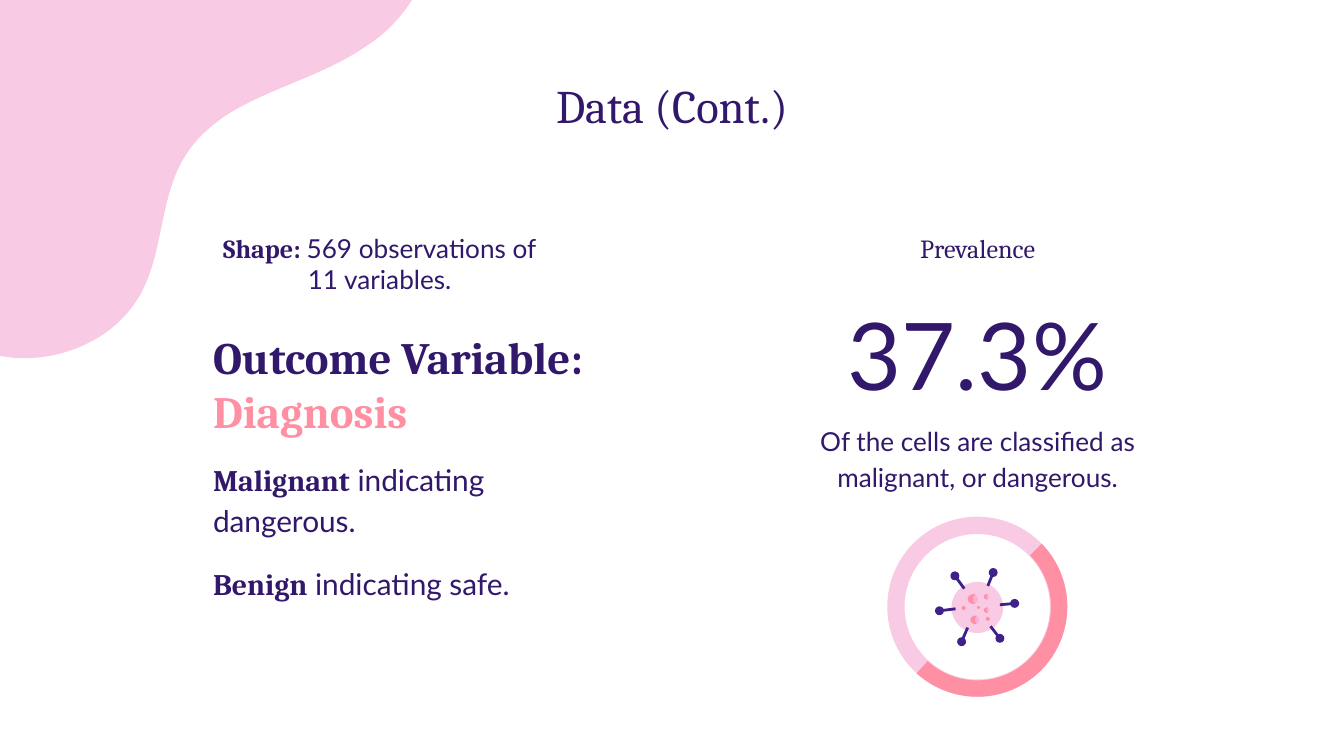
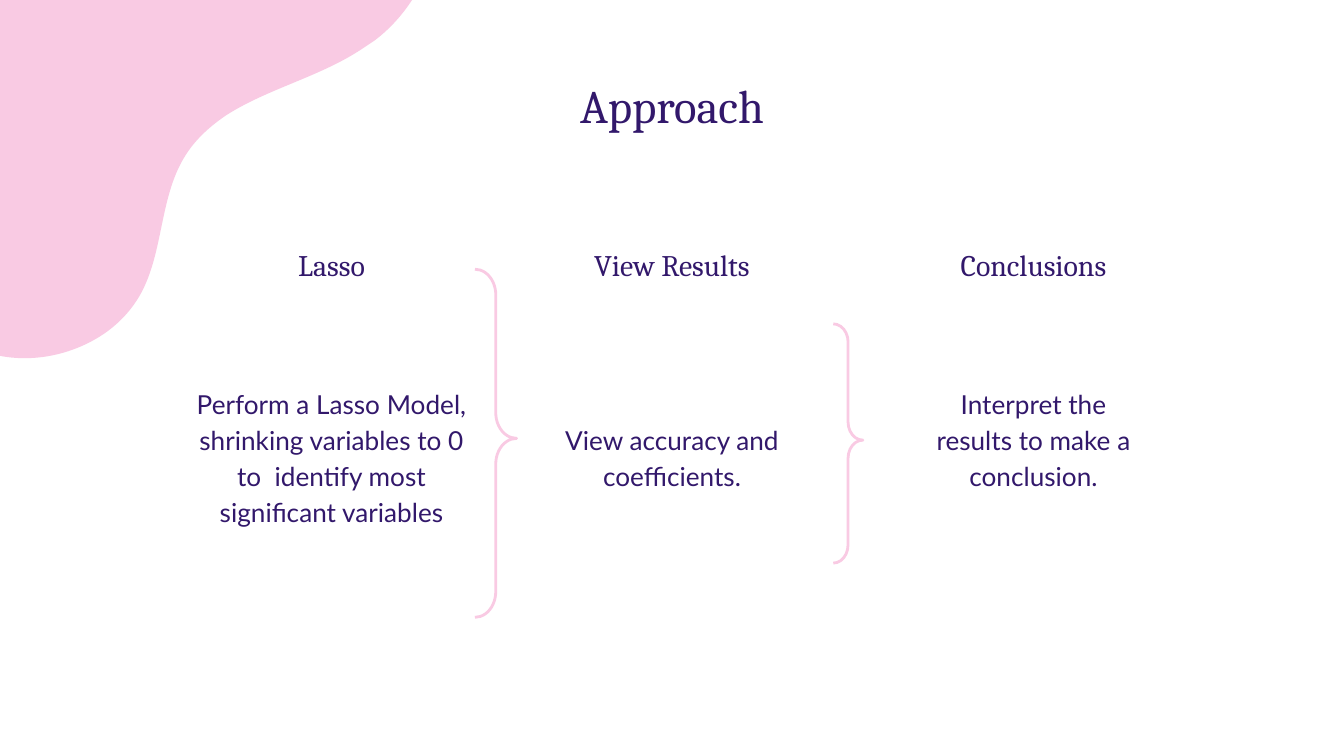
from dataclasses import dataclass

from lxml import etree
from pptx import Presentation
from pptx.dml.color import RGBColor
from pptx.enum.shapes import MSO_CONNECTOR as Link, MSO_SHAPE as Kind
from pptx.enum.text import MSO_ANCHOR as Anchor, MSO_AUTO_SIZE as Fit, PP_ALIGN as Align
from pptx.oxml.ns import qn
from pptx.util import Inches, Pt


@dataclass(frozen=True)
class Theme:
    ink: str = "32186B"
    pink: str = "F9CAE3"
    rose: str = "F9AFD7"
    coral: str = "FF8FA3"
    plum: str = "3E2289"
    serif: str = "Cambria"
    sans: str = "Lato"
    small: int = 14
    mid: int = 16
    large: int = 24
    title: int = 25
    huge: int = 50


T = Theme()
UNIT = Inches(0.1)  # the grid has 100 columns and 56.25 rows
PAD = Inches(0.1)


def write(slide, cells, *runs, box=None, size=T.small, font=T.sans, color=T.ink,
          bold=False, align=Align.CENTER, anchor=Anchor.TOP,
          line=None, before=None, after=None):
    """Add one paragraph; a run is a string or (string, own format)."""
    if box is None:
        box = slide.shapes.add_textbox(0, 0, 0, 0)
    if cells:
        box.left, box.top, box.width, box.height = [round(UNIT * n) for n in cells]
    frame = box.text_frame
    frame.word_wrap, frame.auto_size = True, Fit.NONE
    frame.vertical_anchor = anchor
    frame.margin_left = frame.margin_right = PAD
    frame.margin_top = frame.margin_bottom = PAD
    para = frame.add_paragraph() if frame.text else frame.paragraphs[0]
    para.alignment, para.line_spacing = align, line
    para.space_before, para.space_after = before, after
    for item in runs:
        text, own = (item, {}) if isinstance(item, str) else item
        run = para.add_run()
        run.text = text
        run.font.size = Pt(size)
        run.font.name = own.get("font", font)
        run.font.bold = own.get("bold", bold)
        run.font.color.rgb = RGBColor.from_string(own.get("color", color))
    return box


def draw(shapes, kind, cells, fill=None, line=None, adj=()):
    """Add a preset shape with a plain fill or a plain line."""
    shape = shapes.add_shape(kind, *[round(UNIT * n) for n in cells])
    shape.shadow.inherit = False
    for part, color in ((shape.fill, fill), (shape.line.fill, line)):
        if color:
            part.solid()
            part.fore_color.rgb = RGBColor.from_string(color)
        else:
            part.background()
    if line:
        shape.line.width = Pt(1.5)
    for i, value in enumerate(adj):
        shape.adjustments[i] = value
    return shape


deck = Presentation()
deck.slide_width, deck.slide_height = UNIT * 100, round(UNIT * 56.25)
layout = deck.slide_layouts[5]
for spare in list(layout.placeholders)[1:]:
    layout.shapes.element.remove(spare.element)

# Slides and their titles
data, plan = [deck.slides.add_slide(layout) for _ in range(2)]
for slide, text, rows in ((data, "Data (Cont.)", 11), (plan, "Approach", 6.3)):
    write(slide, (13.15, 4.7, 73.7, rows), text, box=slide.shapes.title,
          size=T.title, font=T.serif)

# Corner blob, shared through the layout: Bezier curves in inches
START = (0.3, -2.34)
CURVES = [
    (0.69, -2.6, 1.19, -2.7, 1.66, -2.62),
    (2.3, -2.51, 2.91, -2.07, 3.17, -1.46),
    (3.43, -0.85, 3.29, -0.08, 2.79, 0.3),
    (2.76, 0.32, 2.73, 0.34, 2.7, 0.36),
    (2.39, 0.57, 1.99, 0.66, 1.68, 0.86),
    (1.55, 0.95, 1.44, 1.05, 1.36, 1.19),
    (1.2, 1.47, 1.21, 1.83, 1.08, 2.12),
    (1.01, 2.28, 0.89, 2.41, 0.75, 2.5),
    (0.45, 2.69, 0.05, 2.73, -0.27, 2.55),
    (-0.75, 2.29, -0.98, 1.61, -0.74, 1.14),
    (-0.62, 0.91, -0.42, 0.73, -0.36, 0.48),
    (-0.31, 0.32, -0.33, 0.14, -0.35, -0.03),
    (-0.44, -0.77, -0.59, -1.38, -0.11, -1.98),
    (0.01, -2.12, 0.15, -2.24, 0.3, -2.34),
]
FINE = 100
pen = data.shapes.build_freeform(*[n * FINE for n in START], scale=Inches(1) / FINE)
pen.add_line_segments([(c[i] * FINE, c[i + 1] * FINE)
                       for c in CURVES for i in (0, 2, 4)], close=True)
blob = pen.convert_to_shape()
blob.shadow.inherit = False
blob.fill.solid()
blob.fill.fore_color.rgb = RGBColor.from_string(T.pink)
blob.line.fill.background()

# Each three points of the outline become one curve
legs = list(blob.element.iter(qn("a:lnTo")))
for i in range(0, len(legs), 3):
    curve = etree.Element(qn("a:cubicBezTo"))
    legs[i].addprevious(curve)
    for leg in legs[i:i + 3]:
        curve.append(leg[0])
        leg.getparent().remove(leg)
blob.element.nvSpPr.cNvPr.id = 99
layout.shapes.element.insert(2, blob.element)

# Data: prevalence
write(data, (61.85, 16.3, 21.8, 3.8), "Prevalence", font=T.serif)
write(data, (54.87, 21.5, 35.7, 9.5), "37.3%", size=T.huge, anchor=Anchor.MIDDLE)
write(data, (59.35, 30.3, 26.8, 5.6),
      "Of the cells are classified as malignant, or dangerous.",
      line=1.15, after=Pt(16))

# Data: ring with the share marked
RING = (66.02, 38.45, 13.4, 13.4)
draw(data.shapes, Kind.DONUT, RING, T.pink, adj=[0.096])
draw(data.shapes, Kind.BLOCK_ARC, RING, T.coral, adj=[189.41, 79.4, 0.091])

# Data: cell in the ring, spikes from knob to body
cell = data.shapes.add_group_shape().shapes
SPIKES = [
    (73.9, 42.6, 73.5, 43.6), (75.5, 44.9, 74.4, 45),
    (74.4, 47.5, 73.7, 46.6), (71.55, 47.75, 72, 46.7),
    (69.9, 45.45, 71.1, 45.3), (71.05, 42.85, 71.75, 43.8),
]
draw(cell, Kind.OVAL, (70.8, 43.3, 3.85, 3.8), T.pink)
for ends in SPIKES:
    stem = cell.add_connector(Link.STRAIGHT, *[round(UNIT * n) for n in ends])
    stem.line.width = Pt(1.5)
    stem.line.color.rgb = RGBColor.from_string(T.plum)
    etree.SubElement(stem.element.spPr, qn("a:effectLst"))
    draw(cell, Kind.OVAL, (ends[0] - 0.33, ends[1] - 0.33, 0.66, 0.66), T.plum)
for x, y, d in ((72.2, 45.8, 0.65), (73.2, 45.2, 0.4),
                (72, 44.2, 0.75), (73.2, 44.2, 0.4)):
    draw(cell, Kind.OVAL, (x, y, d, d), T.rose)
    draw(cell, Kind.MOON, (x, y, d * 0.75, d), T.coral, adj=[0.65])
for x, y, d in ((71.55, 45.1, 0.3), (73.35, 45.9, 0.3), (72.7, 45.1, 0.2)):
    draw(cell, Kind.OVAL, (x, y, d, d), T.coral)

# Data: shape and outcome variable
HEAD = {"font": T.serif, "bold": True}
write(data, (14.85, 16.3, 26.8, 6.7), ("Shape: ", HEAD),
      "569 observations of 11 variables.")
kinds = write(data, (14.87, 32.93, 28.4, 20.7), ("Malignant", HEAD),
              " indicating dangerous.", size=T.mid, align=Align.LEFT, line=1.15)
write(data, None, ("Benign", HEAD), " indicating safe.", box=kinds, size=T.mid,
      align=Align.LEFT, line=1.15, before=Pt(12), after=Pt(12))
write(data, (14.87, 23.54, 33.7, 10.1), "Outcome Variable: ",
      ("Diagnosis", {"color": T.coral}), size=T.large, align=Align.LEFT, **HEAD)

# Approach: three steps, each text centred under its head
STAGES = [
    (24.67, "Lasso", 27.55, 22.2, 5.6,
     "Perform a Lasso Model, shrinking variables to 0 to  identify most "
     "significant variables"),
    (50, "View Results", 30.2, 18.2, 5.6, "View accuracy and coefficients."),
    (76.9, "Conclusions", 27.55, 18.2, 10.8,
     "Interpret the results to make a conclusion."),
]
WIDE = 21.3
for mid, head, top, wide, tall, text in STAGES:
    write(plan, (mid - WIDE / 2, 17.34, WIDE, 3.9), head, size=T.mid, font=T.serif)
    write(plan, (mid - wide / 2, top, wide, tall), text, line=1.15, after=Pt(16))

# Approach: braces between the steps
for cells in ((35.34, 20.03, 3.1, 25.9), (62, 24.1, 2.2, 17.8)):
    draw(plan.shapes, Kind.RIGHT_BRACE, cells, line=T.pink, adj=[0.617, 0.486])

deck.save("out.pptx")
